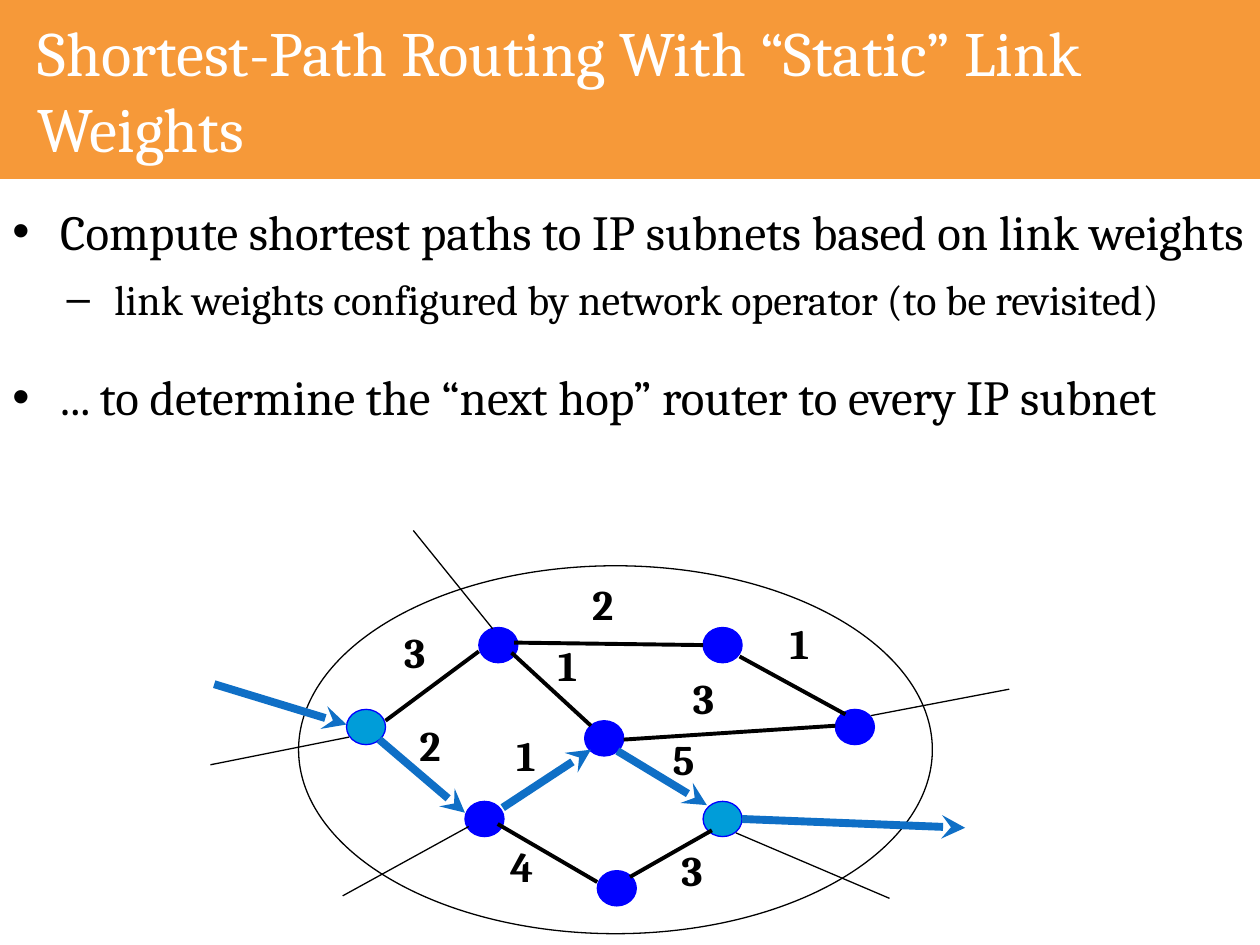
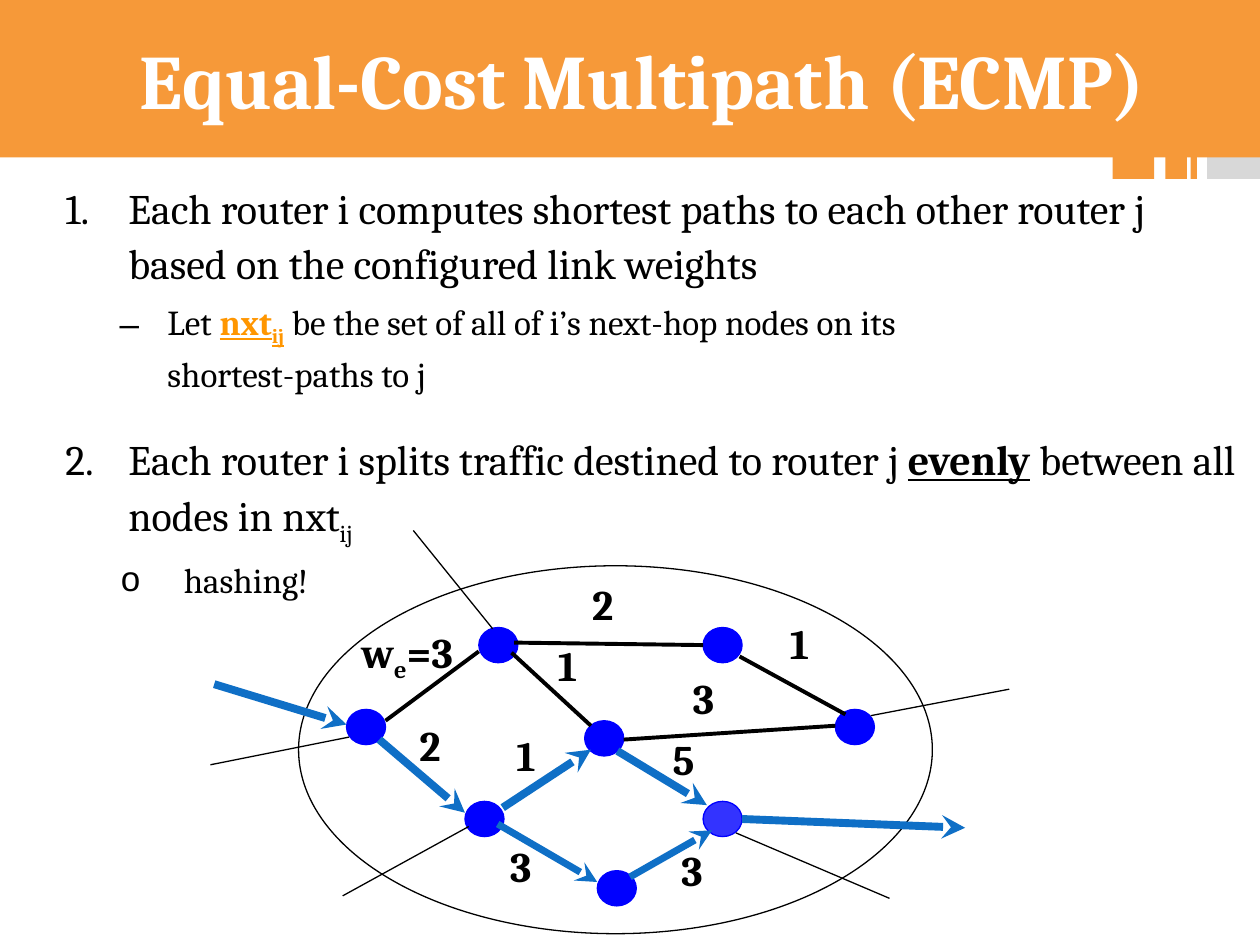
import pptx
import pptx.dml.color
import pptx.enum.shapes
import pptx.enum.text
import pptx.oxml
import pptx.oxml.ns
import pptx.util
from lxml import etree

Inches, Pt = pptx.util.Inches, pptx.util.Pt
RGBColor = pptx.dml.color.RGBColor
MSO_SHAPE = pptx.enum.shapes.MSO_SHAPE
PP_ALIGN = pptx.enum.text.PP_ALIGN
qn = pptx.oxml.ns.qn

ORANGE = RGBColor(0xF6, 0x99, 0x39)
GRAY = RGBColor(0xD8, 0xD8, 0xD8)
WHITE = RGBColor(0xFF, 0xFF, 0xFF)
BLACK = RGBColor(0, 0, 0)
KEYWORD = RGBColor(0xFF, 0x96, 0x00)
ROUTER = RGBColor(0, 0, 0xFF)
EDGE_ROUTER = RGBColor(0x00, 0x9D, 0xD9)
EGRESS_ROUTER = RGBColor(0x33, 0x33, 0xFF)
ROUTE = RGBColor(0x0F, 0x6F, 0xC6)

FONT = "Cambria"
STRIP_HEIGHT = 1.42
STRIPS = [(8.83, 0.33, ORANGE), (9.25, 0.17, ORANGE), (9.45, 0.05, ORANGE), (9.58, 0.42, GRAY)]

# The network: router corners, links (start, end, weight position), outside lines
ROUTER_SIZE = (0.31, 0.28)
ROUTERS = {
    "ingress": (2.75, 5.63), "south": (3.69, 6.36), "north": (3.8, 4.98),
    "center": (4.64, 5.72), "egress": (5.58, 6.36), "northeast": (5.58, 4.98),
    "bottom": (4.74, 6.91), "east": (6.63, 5.63),
}
LINKS = {
    "ingress-north": ((3.06, 5.72), (3.8, 5.17), (3.11, 4.92)),
    "ingress-south": ((3.01, 5.87), (3.69, 6.45), (3.23, 5.66)),
    "north-center": ((4.06, 5.18), (4.69, 5.76), (4.33, 5.03)),
    "south-bottom": ((3.95, 6.54), (4.74, 7), (3.95, 6.62)),
    "south-center": ((3.99, 6.41), (4.69, 5.95), (4, 5.74)),
    "center-egress": ((4.9, 5.96), (5.61, 6.39), (5.24, 5.77)),
    "bottom-egress": ((5, 6.96), (5.65, 6.59), (5.31, 6.65)),
    "center-east": ((4.95, 5.87), (6.63, 5.76), (5.4, 5.29)),
    "north-northeast": ((4.08, 5.1), (5.58, 5.12), (4.6, 4.54)),
    "northeast-east": ((5.87, 5.21), (6.71, 5.67), (6.17, 4.85)),
}
CLOUD = (2.37, 4.49, 5.03, 2.92)
TRAFFIC = [((1.7, 5.43), (2.75, 5.75)), ((5.89, 6.5), (7.66, 6.57))]
OUTSIDE_LINES = [
    ((2.77, 5.85), (1.67, 6.07)), ((5.84, 6.61), (7.06, 7.13)),
    ((8.01, 5.47), (6.91, 5.68)), ((3.28, 4.21), (3.91, 4.99)),
    ((3.72, 6.56), (2.72, 7.11)),
]
WEIGHTS = {
    "ingress-north": "3", "ingress-south": "2", "north-center": "1", "south-bottom": "4",
    "south-center": "1", "center-egress": "5", "bottom-egress": "3", "center-east": "3",
    "north-northeast": "2", "northeast-east": "1",
}
STATIC_ROUTE = {"ingress-south": 4.5, "south-center": 4.5, "center-egress": 4.5}

# Body paragraphs: level, size, indent, hanging, space before, bullet, spans (text, styles)
SLIDES = [
    {
        "title": "Shortest-Path Routing With “Static” Link Weights",
        "title_size": 36, "title_bold": False, "title_align": PP_ALIGN.LEFT,
        "band_height": 1.42,
        "body_at": (0, 1.5, 10, 4.95),
        "body": [
            (0, 28, 0.38, 0.38, 0, "•",
             [("Compute shortest paths to IP subnets based on link weights", "")]),
            (1, 24, 0.81, 0.38, 4.8, "–",
             [("link weights configured by network operator (to be revisited)", "")]),
            (0, 28, 0.38, 0.38, 21.3, "•",
             [("... to determine the “next hop” router to every IP subnet", "")]),
        ],
        "special_routers": {"ingress": EDGE_ROUTER, "egress": EDGE_ROUTER},
        "route": STATIC_ROUTE,
        "weights": WEIGHTS,
    },
    {
        "title": "Equal-Cost Multipath (ECMP)",
        "title_size": 44, "title_bold": True, "title_align": PP_ALIGN.CENTER,
        "band_height": 1.25,
        "body_at": (0.42, 1.36, 9.58, 3.49),
        "body": [
            (0, 24, 0.5, 0.5, 0, 1,
             [("Each router i computes shortest paths to each other router j "
               "based on the configured link weights", "")]),
            (1, 20, 0.81, 0.38, 4, "–",
             [("Let ", ""), ("nxt", "keyword bold underline"),
              ("ij", "keyword bold underline sub"),
              (" be the set of all of i’s next-hop nodes on its\nshortest-paths to j", "")]),
            (0, 24, 0.5, 0.5, 19.8, 2,
             [("Each router i splits traffic destined to router j ", ""),
              ("evenly", "bold underline"), (" between all nodes in nxt", ""), ("ij", "sub")]),
            (1, 20, 0.94, 0.5, 4, "o", [("hashing!", "")]),
        ],
        "special_routers": {"egress": EGRESS_ROUTER},
        "route": {**STATIC_ROUTE, "south-bottom": 4, "bottom-egress": 4},
        "weights": {**WEIGHTS, "ingress-north": [("w", ""), ("e", "sub"), ("=3", "")],
                    "south-bottom": "3"},
        "wide_labels": {"ingress-north": (2.77, 0.98)},
    },
]


def inches(*lengths):
    return [Inches(length) for length in lengths]


def add_preset(page, preset, at, fill=None, line=None):
    shape = page.shapes.add_shape(preset, *inches(*at))
    shape.shadow.inherit = False
    if fill is None:
        shape.fill.background()
    else:
        shape.fill.solid()
        shape.fill.fore_color.rgb = fill
    if line is None:
        shape.line.fill.background()
    else:
        shape.line.color.rgb = line
        shape.line.width = Pt(0.75)
    return shape


def add_line(page, start, end, color, width, arrow=False):
    line = page.shapes.add_connector(
        pptx.enum.shapes.MSO_CONNECTOR.STRAIGHT, *inches(*start, *end))
    line.line.color.rgb = color
    line.line.width = Pt(width)
    if arrow:
        etree.SubElement(line.line._get_or_add_ln(), qn("a:tailEnd"), type="stealth")
    etree.SubElement(line._element.spPr, qn("a:effectLst"))


def set_font(para, size, color, bold=False):
    para.font.name = FONT
    para.font.size = Pt(size)
    para.font.color.rgb = color
    para.font.bold = bold


def add_spans(para, spans):
    for text, styles in spans:
        for number, part in enumerate(text.split("\n")):
            if number:
                para.add_line_break()
            span = para.add_run()
            span.text = part
            if "bold" in styles:
                span.font.bold = True
            if "underline" in styles:
                span.font.underline = True
            if "keyword" in styles:
                span.font.color.rgb = KEYWORD
            if "sub" in styles:
                span.font._element.set("baseline", "-25000")


def set_bullet(para, bullet, indent, hanging):
    """Give a bullet character, or automatic numbering that starts at an integer."""
    props = para._p.get_or_add_pPr()
    props.set("marL", str(Inches(indent)))
    props.set("indent", str(-Inches(hanging)))
    color = etree.SubElement(props, qn("a:buClr"))
    etree.SubElement(color, qn("a:srgbClr"), val=str(BLACK))
    if isinstance(bullet, int):
        etree.SubElement(props, qn("a:buFont"), typeface=FONT)
        etree.SubElement(props, qn("a:buAutoNum"), type="arabicPeriod", startAt=str(bullet))
    else:
        etree.SubElement(props, qn("a:buFont"), typeface="Arial")
        etree.SubElement(props, qn("a:buChar"), char=bullet)


def add_title(page, slide):
    height = slide["band_height"]
    if height < STRIP_HEIGHT:
        for left, width, color in STRIPS:
            add_preset(page, MSO_SHAPE.RECTANGLE, (left, 0, width, STRIP_HEIGHT), color)
    band = add_preset(page, MSO_SHAPE.RECTANGLE, (0, 0, 10, height), ORANGE)
    frame = band.text_frame
    frame.word_wrap = True
    frame.margin_left = Inches(0.3)
    frame.vertical_anchor = pptx.enum.text.MSO_ANCHOR.MIDDLE
    para = frame.paragraphs[0]
    para.alignment = slide["title_align"]
    set_font(para, slide["title_size"], WHITE, slide["title_bold"])
    add_spans(para, [(slide["title"], "")])


def add_body(page, slide):
    frame = page.shapes.add_textbox(*inches(*slide["body_at"])).text_frame
    frame.word_wrap = True
    for number, (level, size, indent, hanging, before, bullet, spans) in enumerate(slide["body"]):
        para = frame.add_paragraph() if number else frame.paragraphs[0]
        para.level = level
        para.line_spacing = 1.1
        para.space_before = Pt(before)
        set_bullet(para, bullet, indent, hanging)
        set_font(para, size, BLACK)
        add_spans(para, spans)


def add_weight(page, left, top, width, weight):
    box = page.shapes.add_textbox(*inches(left, top, width, 0.51))
    box.text_frame.word_wrap = False
    para = box.text_frame.paragraphs[0]
    set_font(para, 24, BLACK, bold=True)
    add_spans(para, [(weight, "")] if isinstance(weight, str) else weight)


def add_network(page, slide):
    for name, corner in ROUTERS.items():
        color = slide["special_routers"].get(name, ROUTER)
        add_preset(page, MSO_SHAPE.OVAL, corner + ROUTER_SIZE, color, ROUTER)
    for name, (start, end, _) in LINKS.items():
        if name in slide["route"]:
            add_line(page, start, end, ROUTE, slide["route"][name], arrow=True)
        else:
            add_line(page, start, end, BLACK, 2.25)
    for name, (_, _, (left, top)) in LINKS.items():
        left, width = slide.get("wide_labels", {}).get(name, (left, 0.38))
        add_weight(page, left, top, width, slide["weights"][name])
    add_preset(page, MSO_SHAPE.OVAL, CLOUD, line=BLACK)
    for start, end in TRAFFIC:
        add_line(page, start, end, ROUTE, 4.5, arrow=True)
    for start, end in OUTSIDE_LINES:
        add_line(page, start, end, BLACK, 0.75)


def main():
    deck = pptx.Presentation()
    deck.slide_width, deck.slide_height = inches(10, 7.5)
    for slide in SLIDES:
        page = deck.slides.add_slide(deck.slide_layouts[6])
        add_title(page, slide)
        add_body(page, slide)
        add_network(page, slide)
    deck.save("out.pptx")


if __name__ == "__main__":
    main()
